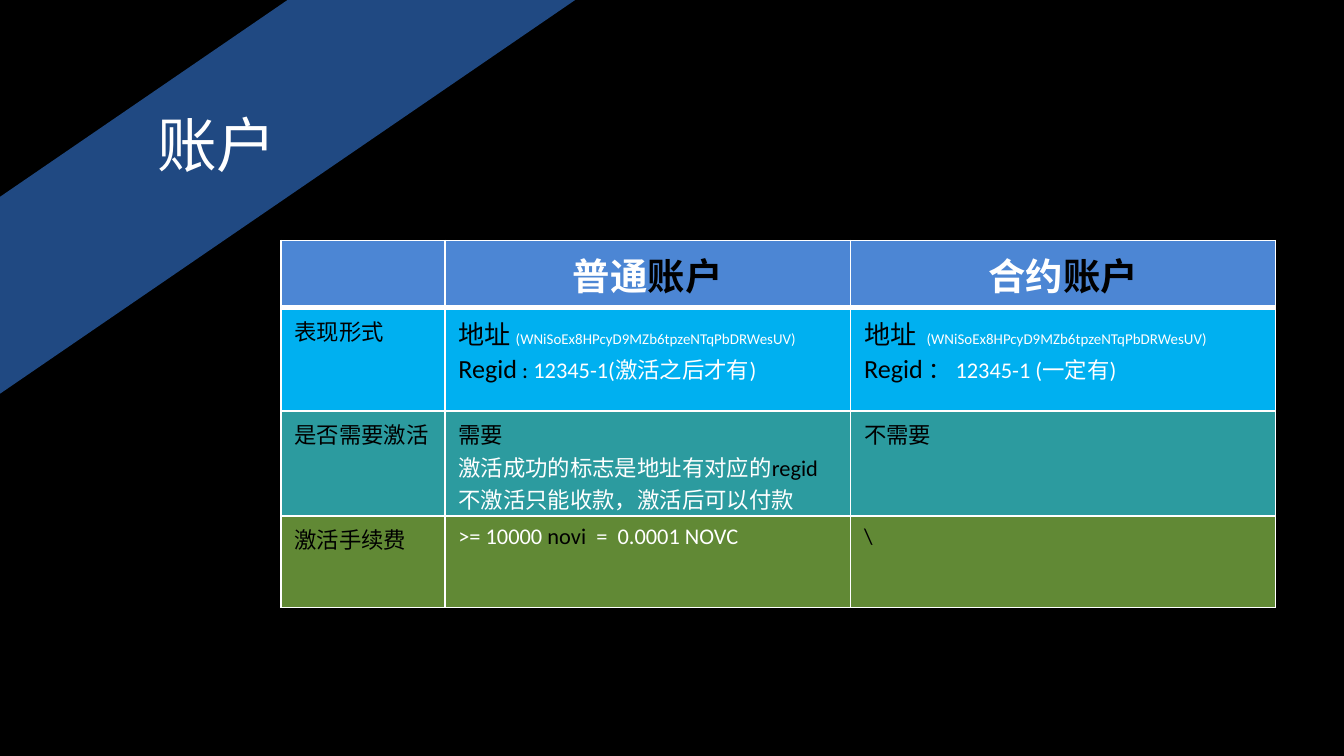
from lxml.etree import SubElement
from pptx import Presentation
from pptx.dml.color import RGBColor
from pptx.enum.shapes import MSO_SHAPE
from pptx.enum.text import MSO_AUTO_SIZE, PP_ALIGN
from pptx.oxml.ns import qn
from pptx.util import Inches, Pt

WHITE, BLACK = "FFFFFF", "000000"
ADDRESS = "(WNiSoEx8HPcyD9MZb6tpzeNTqPbDRWesUV)"
COLUMN_WIDTHS = [1.22, 3.02, 3.16]
ROW_HEIGHTS = [0.5, 0.77, 0.78, 0.68]
ROW_FILLS = ["4C86D4", "00B0F0", "2C9B9F", "618935"]
WIDE_GAP = (" ", 12, BLACK, 2.7)

# Each cell is a list of paragraphs; a run is (text, size, colour[, tracking])
ACCOUNT_ROWS = [
    [
        [],
        [[("普通", 20, WHITE), ("账户", 20, BLACK)]],
        [[("合约", 20, WHITE), ("账户", 20, BLACK)]],
    ],
    [
        [[("表现形式", 12, BLACK)]],
        [
            [("地址", 14, BLACK), (" ", 12, BLACK), (ADDRESS, 8, WHITE)],
            [("Regid", 14, BLACK), (" : ", 12, BLACK),
             ("12345-1(激活之后才有)", 12, WHITE)],
        ],
        [
            [("地址", 14, BLACK), WIDE_GAP, (ADDRESS, 8, WHITE)],
            [("Regid", 14, BLACK), (" ： ", 12, BLACK),
             ("12345-1 (一定有)", 12, WHITE)],
        ],
    ],
    [
        [[("是否需要激活", 12, BLACK)]],
        [
            [("需要", 12, BLACK)],
            [("激活成功的标志是地址有对应的", 12, WHITE), ("regid", 12, BLACK)],
            [("不激活只能收款，激活后可以付款", 12, WHITE)],
        ],
        [[("不需要", 12, BLACK)]],
    ],
    [
        [[("激活手续费", 12, BLACK)]],
        [[(">= 10000 ", 12, WHITE), ("novi", 12, BLACK), WIDE_GAP,
          ("=", 12, WHITE), WIDE_GAP, ("0.0001 NOVC", 12, WHITE)]],
        [[("\\", 12, BLACK)]],
    ],
]


def color(value):
    return RGBColor.from_string(value)


def paint(target, value):
    target.fill.solid()
    target.fill.fore_color.rgb = color(value)


def add_run(paragraph, text, size, value, tracking=0, bold=False):
    run = paragraph.add_run()
    run.text = text
    run.font.name = "Calibri"
    run.font.size = Pt(size)
    run.font.bold = bold
    run.font.color.rgb = color(value)
    if tracking:
        run._r.get_or_add_rPr().set("spc", str(round(tracking * 100)))


def write(frame, paragraphs, bold=False, align=PP_ALIGN.LEFT):
    for index, runs in enumerate(paragraphs):
        paragraph = frame.paragraphs[0] if index == 0 else frame.add_paragraph()
        paragraph.alignment = align
        for run in runs:
            add_run(paragraph, *run, bold=bold)


def add_borders(cell, bottom_width):
    properties = cell._tc.get_or_add_tcPr()
    widths = {"a:lnL": 1, "a:lnR": 1, "a:lnT": 1, "a:lnB": bottom_width}
    for position, (side, width) in enumerate(widths.items()):
        line = SubElement(properties, qn(side), w=str(Pt(width)))
        fill = SubElement(line, qn("a:solidFill"))
        SubElement(fill, qn("a:srgbClr"), val=WHITE)
        # Borders come before the cell fill
        properties.insert(position, line)


def add_stripe(slide):
    stripe = slide.shapes.add_shape(
        MSO_SHAPE.DIAGONAL_STRIPE, 0, 0, Inches(4.28), Inches(2.93))
    stripe.shadow.inherit = False
    paint(stripe, "204982")
    stripe.line.fill.background()


def add_title(slide):
    title = slide.shapes.add_textbox(
        Inches(1.07), Inches(0.75), Inches(1.18), Inches(0.64))
    title.text_frame.word_wrap = True
    title.text_frame.auto_size = MSO_AUTO_SIZE.SHAPE_TO_FIT_TEXT
    write(title.text_frame, [[("账户", 32, WHITE)]])


def add_account_table(slide):
    accounts = slide.shapes.add_table(
        len(ROW_HEIGHTS), len(COLUMN_WIDTHS), Inches(2.09), Inches(1.79),
        Inches(sum(COLUMN_WIDTHS)), Inches(sum(ROW_HEIGHTS))).table
    accounts.horz_banding = False
    for column, width in zip(accounts.columns, COLUMN_WIDTHS):
        column.width = Inches(width)
    for index, height in enumerate(ROW_HEIGHTS):
        accounts.rows[index].height = Inches(height)
        header = index == 0
        for cell, paragraphs in zip(accounts.rows[index].cells,
                                    ACCOUNT_ROWS[index]):
            cell.margin_bottom = Inches(0.01)
            paint(cell, ROW_FILLS[index])
            add_borders(cell, 3 if header else 1)
            write(cell.text_frame, paragraphs, header,
                  PP_ALIGN.CENTER if header else PP_ALIGN.LEFT)


def main():
    deck = Presentation()
    # Widescreen 16:9
    deck.slide_width, deck.slide_height = Inches(10), Inches(10 * 9 / 16)
    slide = deck.slides.add_slide(deck.slide_layouts[6])
    paint(slide.background, BLACK)
    add_stripe(slide)
    add_title(slide)
    add_account_table(slide)
    deck.save("out.pptx")


main()
